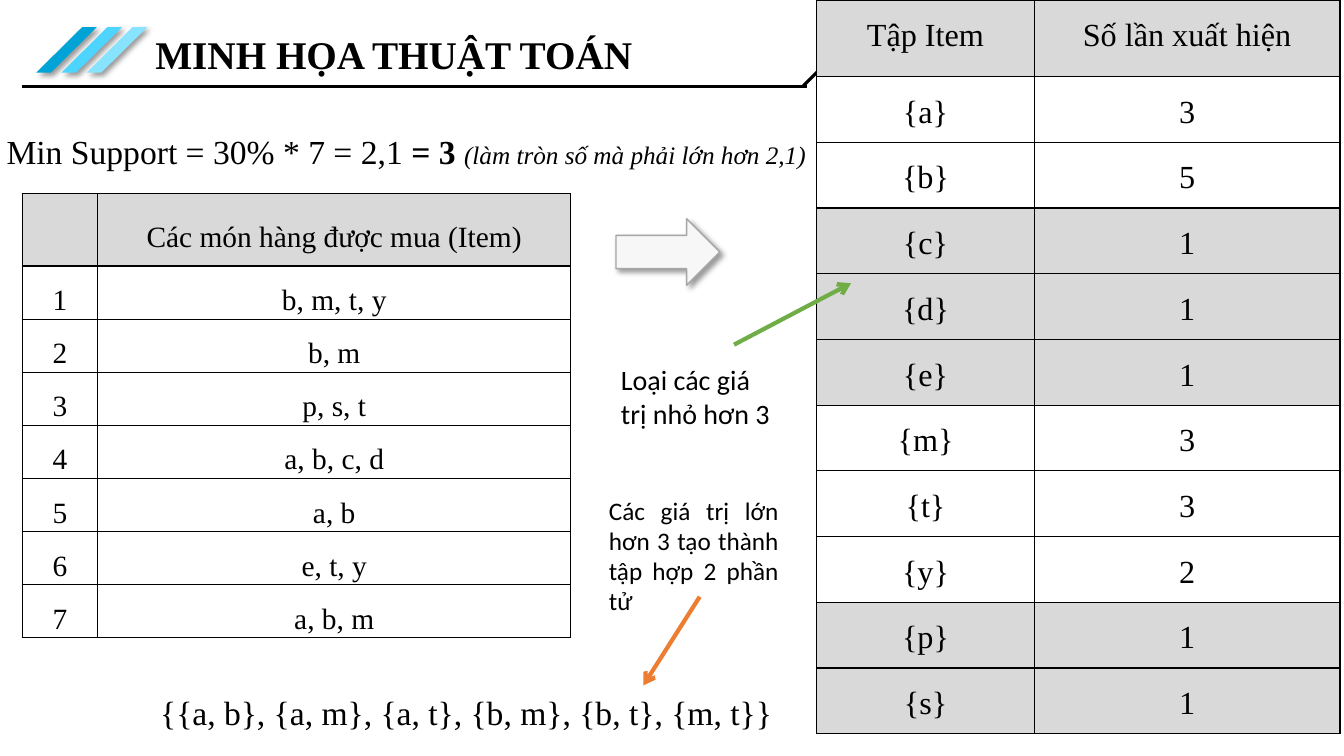
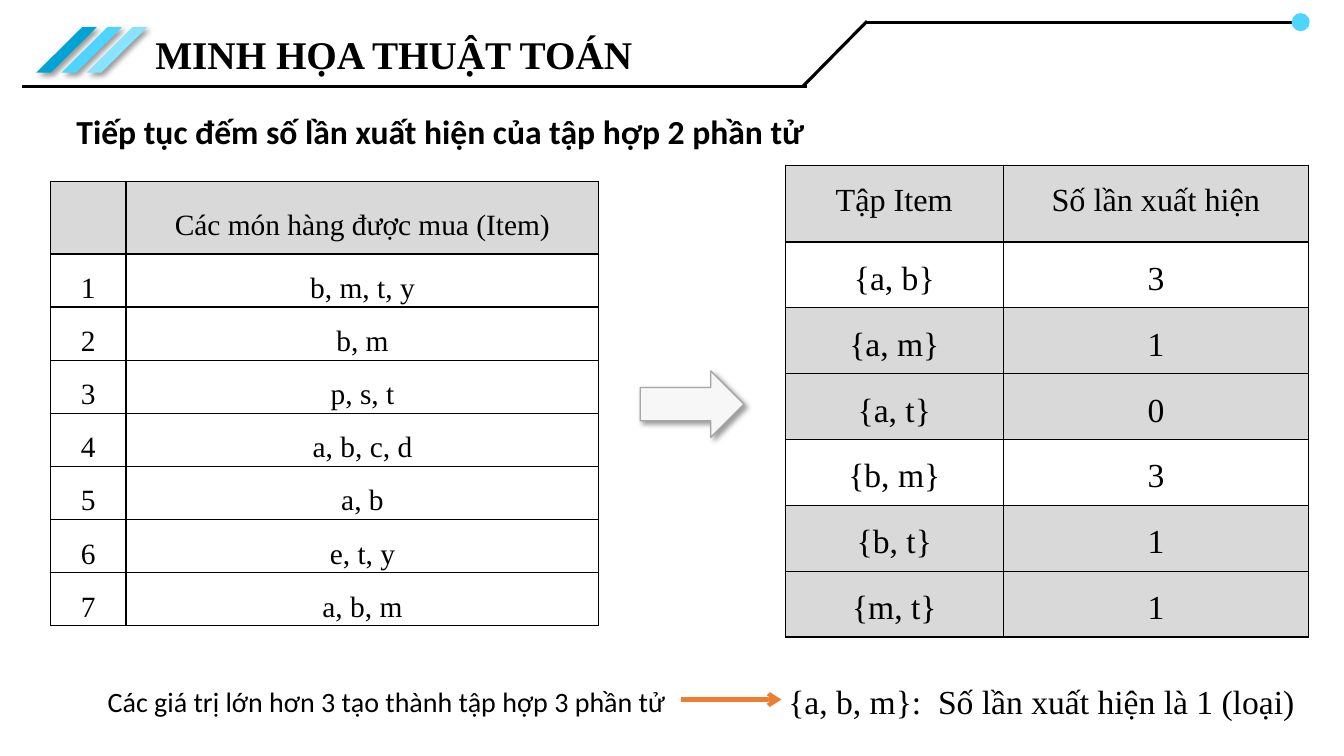
"""Build two slides that illustrate frequent item set counting."""
import pptx
import pptx.util
import pptx.dml.color
import pptx.enum.shapes
import pptx.enum.text
import pptx.oxml
import pptx.oxml.ns

Inches, Pt = pptx.util.Inches, pptx.util.Pt
RGBColor = pptx.dml.color.RGBColor
Shape = pptx.enum.shapes.MSO_SHAPE
Align, Anchor = pptx.enum.text.PP_ALIGN, pptx.enum.text.MSO_ANCHOR

BLACK = RGBColor(0x00, 0x00, 0x00)
WHITE = RGBColor(0xFF, 0xFF, 0xFF)
SHADE = RGBColor(0xD9, 0xD9, 0xD9)
PALE = RGBColor(0xF7, 0xF7, 0xF7)
OUTLINE = RGBColor(0xA6, 0xA6, 0xA6)
GREEN = RGBColor(0x70, 0xAD, 0x47)
ORANGE = RGBColor(0xED, 0x7D, 0x31)
SKY = RGBColor(0x4D, 0xD5, 0xFF)
STRIPES = [RGBColor(0x00, 0xA3, 0xD5), SKY, RGBColor(0x88, 0xE3, 0xFF)]
SERIF, SANS = "Times New Roman", "Calibri"

TITLE = "MINH HỌA THUẬT TOÁN"
HEADER_LINES = [((0.22, 0.86), (8, 0.86)), ((8.59, 0.22), (12.81, 0.22)),
                ((7.96, 0.86), (8.6, 0.21))]
BASKETS = ["b, m, t, y", "b, m", "p, s, t", "a, b, c, d", "a, b", "e, t, y", "a, b, m"]
BASKET_HEADING = ("", "Các món hàng được mua (Item)")
COUNT_HEADING = ("Tập Item", "Số lần xuất hiện")
SINGLE_COUNTS = [("{a}", 3), ("{b}", 5), ("{c}", 1), ("{d}", 1), ("{e}", 1),
                 ("{m}", 3), ("{t}", 3), ("{y}", 2), ("{p}", 1), ("{s}", 1)]
PAIR_COUNTS = [("{a, b}", 3), ("{a, m}", 1), ("{a, t}", 0),
               ("{b, m}", 3), ("{b, t}", 1), ("{m, t}", 1)]
SHADED_BELOW = 2
SPACED = {"line": 1.5, "before": 6, "after": 6}

SHADOW = ('<a:effectLst %s><a:outerShdw blurRad="50800" dist="38100" dir="2700000" '
          'algn="tl" rotWithShape="0"><a:srgbClr val="000000"><a:alpha val="40000"/>'
          '</a:srgbClr></a:outerShdw></a:effectLst>')
BORDER = ('<a:%s %s w="12700"><a:solidFill><a:srgbClr val="000000"/></a:solidFill>'
          '</a:%s>')
NAMESPACE = pptx.oxml.ns.nsdecls("a")


def format_span(span, size, font, bold=False, italic=False):
    span.font.size = Pt(size)
    span.font.name = font
    span.font.bold = bold
    span.font.italic = italic
    span.font.color.rgb = BLACK


def space_paragraph(para, line=1, before=0, after=0):
    para.line_spacing = line
    para.space_before = Pt(before)
    para.space_after = Pt(after)


def add_preset(slide, kind, place, fill, outline=None, shadow=False):
    shape = slide.shapes.add_shape(kind, *map(Inches, place))
    shape.fill.solid()
    shape.fill.fore_color.rgb = fill
    if outline is None:
        shape.line.fill.background()
    else:
        shape.line.color.rgb = outline
        shape.line.width = Pt(1)
    shape.shadow.inherit = False
    if shadow:
        properties = shape._element.spPr
        properties.remove(properties.find(pptx.oxml.ns.qn("a:effectLst")))
        properties.append(pptx.oxml.parse_xml(SHADOW % NAMESPACE))
    return shape


def add_line(slide, start, end, color=BLACK, width=2.25, arrow=False):
    line = slide.shapes.add_connector(pptx.enum.shapes.MSO_CONNECTOR.STRAIGHT,
                                      *map(Inches, start + end))
    line.line.color.rgb = color
    line.line.width = Pt(width)
    if arrow:
        line.line._get_or_add_ln().append(
            pptx.oxml.parse_xml('<a:tailEnd %s type="arrow"/>' % NAMESPACE))
    line._element.spPr.append(pptx.oxml.parse_xml("<a:effectLst %s/>" % NAMESPACE))


def add_text(slide, place, spans, align=Align.LEFT, wrap=True, spacing=None):
    box = slide.shapes.add_textbox(*map(Inches, place))
    box.text_frame.word_wrap = wrap
    para = box.text_frame.paragraphs[0]
    para.alignment = align
    space_paragraph(para, **(spacing or {}))
    for text, *style in spans:
        span = para.add_run()
        span.text = text
        format_span(span, *style)


def fill_cell(cell, text, size, fill, anchor, margin, after):
    cell.fill.solid()
    cell.fill.fore_color.rgb = fill
    properties = cell._tc.get_or_add_tcPr()
    for index, side in enumerate(("lnL", "lnR", "lnT", "lnB")):
        properties.insert(index, pptx.oxml.parse_xml(BORDER % (side, NAMESPACE, side)))
    cell.vertical_anchor = anchor
    cell.margin_left = cell.margin_right = Inches(margin)
    cell.margin_top = cell.margin_bottom = 0
    if text:
        cell.text_frame.text = text
        para = cell.text_frame.paragraphs[0]
        para.alignment = Align.CENTER
        space_paragraph(para, 1.5, 6, after)
        format_span(para.runs[0], size, SERIF)


def add_grid(slide, left, top, widths, height, head, rows):
    """Add a table whose rows below the head share the remaining height."""
    body = (height - head) / (len(rows) - 1)
    frame = slide.shapes.add_table(len(rows), len(widths), Inches(left), Inches(top),
                                   Inches(sum(widths)), Inches(height))
    table = frame.table
    table.first_row = table.horz_banding = False
    for column, width in zip(table.columns, widths):
        column.width = Inches(width)
    for index, (texts, style) in enumerate(rows):
        table.rows[index].height = Inches(body if index else head)
        for column, text in enumerate(texts):
            fill_cell(table.cell(index, column), text, **style)


def add_basket_table(slide, left, top):
    style = {"size": 21, "anchor": Anchor.MIDDLE, "margin": 0, "after": 0}
    rows = [(BASKET_HEADING, {**style, "fill": SHADE})]
    rows += [((str(number), items), {**style, "fill": WHITE})
             for number, items in enumerate(BASKETS, 1)]
    add_grid(slide, left, top, (0.75, 4.69), 4.41, 0.72, rows)


def add_count_table(slide, left, top, height, counts, size, margin, after):
    style = {"size": 23, "anchor": Anchor.TOP, "margin": 0.07, "after": 0}
    rows = [(COUNT_HEADING, {**style, "fill": SHADE})]
    style.update(size=size, margin=margin, after=after)
    rows += [((items, str(count)),
              {**style, "fill": SHADE if count < SHADED_BELOW else WHITE})
             for items, count in counts]
    add_grid(slide, left, top, (2.16, 3.03), height, 0.76, rows)


def add_block_arrow(slide, left, top):
    add_preset(slide, Shape.RIGHT_ARROW, (left, top, 1.03, 0.66), PALE, OUTLINE, True)


def add_titled_slide(deck):
    slide = deck.slides.add_slide(deck.slide_layouts.get_by_name("Title Only"))
    for index, color in enumerate(STRIPES):
        stripe = add_preset(slide, Shape.PARALLELOGRAM,
                            (0.36 + 0.25 * index, 0.27, 0.6, 0.45), color, shadow=True)
        stripe.adjustments[0] = 1.01
    for start, end in HEADER_LINES:
        add_line(slide, start, end)
    add_preset(slide, Shape.OVAL, (12.81, 0.13, 0.18, 0.18), SKY)
    title = slide.shapes.title
    title.left, title.top, title.width, title.height = map(
        Inches, (1.44, 0.25, 5.19, 0.57))
    title.text_frame.text = TITLE
    title.text_frame.vertical_anchor = Anchor.MIDDLE
    para = title.text_frame.paragraphs[0]
    para.alignment = Align.LEFT
    format_span(para.runs[0], 28, SERIF, True)
    return slide


def build_single_items(deck):
    slide = add_titled_slide(deck)
    add_count_table(slide, 8.1, 0, 7.28, SINGLE_COUNTS, 23, 0.07, 0)
    add_text(slide, (1.29, 6.62, 6.67, 0.63),
             [("{{a, b}, {a, m}, {a, t}, {b, m}, {b, t}, {m, t}}", 24, SERIF)],
             Align.CENTER, spacing=SPACED)
    add_block_arrow(slide, 6.11, 2.17)
    add_text(slide, (-0.5, 1.05, 9.06, 0.71),
             [("Min Support = 30% * 7 = 2,1 ", 24, SERIF),
              ("= 3 ", 24, SERIF, True),
              ("(làm tròn số mà phải lớn hơn 2,1)", 18, SERIF, False, True)],
             Align.CENTER, spacing=SPACED)
    add_basket_table(slide, 0.22, 1.92)
    add_line(slide, (7.28, 3.42), (8.44, 2.81), GREEN, 3, True)
    add_text(slide, (6.06, 3.55, 1.75, 0.77),
             [("Loại các giá trị nhỏ hơn 3", 20, SANS)])
    add_text(slide, (5.94, 4.86, 1.88, 1.31),
             [("Các giá trị lớn hơn 3 tạo thành tập hợp 2 phần tử", 18, SANS)],
             Align.JUSTIFY)
    add_line(slide, (6.94, 5.92), (6.38, 6.8), ORANGE, 3, True)


def build_pairs(deck):
    slide = add_titled_slide(deck)
    add_count_table(slide, 7.79, 1.64, 4.68, PAIR_COUNTS, 24, 0, 6)
    add_text(slide, (7.72, 6.51, 5.27, 0.71),
             [("{a, b, m}:  Số lần xuất hiện là 1 (loại)", 24, SERIF)],
             wrap=False, spacing=SPACED)
    add_block_arrow(slide, 6.35, 3.68)
    add_basket_table(slide, 0.5, 1.8)
    add_text(slide, (0.66, 1.05, 7.49, 0.5),
             [("Tiếp tục đếm số lần xuất hiện của tập hợp 2 phần tử", 24, SANS, True)],
             wrap=False)
    add_text(slide, (0.97, 6.74, 6.23, 0.44),
             [("Các giá trị lớn hơn 3 tạo thành tập hợp 3 phần tử", 20, SANS)],
             Align.JUSTIFY)
    add_line(slide, (6.75, 6.94), (7.75, 6.94), ORANGE, 3, True)


def main():
    deck = pptx.Presentation()
    deck.slide_width, deck.slide_height = Inches(13.33), Inches(7.5)
    build_single_items(deck)
    build_pairs(deck)
    deck.save("out.pptx")


if __name__ == "__main__":
    main()
